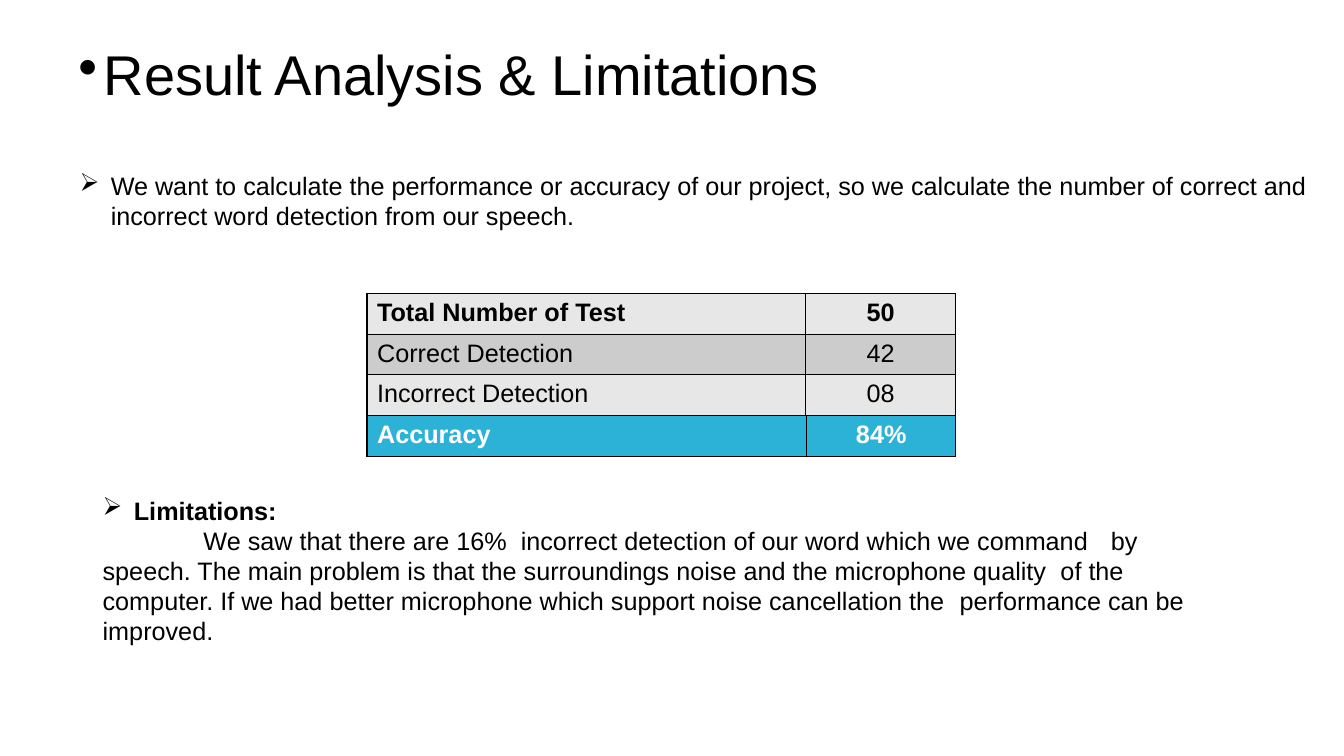
from lxml import etree
from pptx import Presentation
from pptx.dml.color import RGBColor
from pptx.enum.text import MSO_ANCHOR, PP_ALIGN
from pptx.oxml.ns import qn
from pptx.util import Inches, Pt

COLORS = {"ink": "000000", "white": "FFFFFF", "light": "E7E7E7", "mid": "CCCCCC", "accent": "2CB2D7"}
FONT = "Arial"
ROW_H = 0.405
RESULTS = [("Total Number of Test", "50"), ("Correct Detection", "42"), ("Incorrect Detection", "08")]
INTRO = ("We want to calculate the performance or accuracy of our project, so we calculate "
         "the number of correct and incorrect word detection from our speech.")
LIMITS = ("\t\tWe saw that there are 16%  incorrect detection of our word which we command "
          "\tby speech. The main problem is that the surroundings noise and the microphone quality "
          "\tof the computer. If we had better microphone which support noise cancellation the "
          "\tperformance can be improved.")


def rgb(name):
    """Return the named colour."""
    return RGBColor.from_string(COLORS[name])


def style(p, size=18, bold=False, color="ink"):
    """Set the font of a paragraph."""
    p.font.name, p.font.size, p.font.bold = FONT, Pt(size), bold
    p.font.color.rgb = rgb(color)


def add_bullet(p, char, indent):
    """Give a paragraph a hanging bullet."""
    pPr = p._p.get_or_add_pPr()
    pPr.set("marL", str(Inches(indent)))
    pPr.set("indent", str(-Inches(indent)))
    bullet = etree.Element(qn("a:buChar"), char=char)
    pPr.insert_element_before(bullet, "a:tabLst", "a:defRPr", "a:extLst")


def add_text(s, box, texts):
    """Add a wrapped text box with one paragraph per text."""
    tf = s.shapes.add_textbox(*map(Inches, box)).text_frame
    tf.word_wrap = True
    for i, text in enumerate(texts):
        p = tf.add_paragraph() if i else tf.paragraphs[0]
        p.add_run().text = text
        style(p)
    return tf


def add_title(s, box):
    """Add the bulleted slide title."""
    tf = add_text(s, box, ["Result Analysis & Limitations"])
    tf.vertical_anchor = MSO_ANCHOR.MIDDLE
    p = tf.paragraphs[0]
    style(p, 40)
    p.line_spacing = 0.9
    add_bullet(p, "•", 0.25)


def add_intro(s, box):
    """Add the opening statement."""
    add_bullet(add_text(s, box, [INTRO]).paragraphs[0], "➢", 0.31)


def add_limitations(s, box):
    """Add the limitations heading and its paragraph."""
    heading = add_text(s, box, ["Limitations:", LIMITS]).paragraphs[0]
    style(heading, bold=True)
    add_bullet(heading, "➢", 0.31)


def add_borders(cell):
    """Draw a thin black line on each side of a cell."""
    tcPr = cell._tc.get_or_add_tcPr()
    for i, side in enumerate(("lnL", "lnR", "lnT", "lnB")):
        ln = etree.Element(qn(f"a:{side}"), w=str(Pt(1)))
        fill = etree.SubElement(ln, qn("a:solidFill"))
        etree.SubElement(fill, qn("a:srgbClr"), val=COLORS["ink"])
        tcPr.insert(i, ln)


def add_result_table(s, box, rows, widths, fills, color="ink"):
    """Add a table of labels and centred values with a bold first row."""
    table = s.shapes.add_table(len(rows), len(widths), *map(Inches, box)).table
    for col, width in zip(table.columns, widths):
        col.width = Inches(width)
    for r, row in enumerate(rows):
        table.rows[r].height = Inches(ROW_H)
        for c, text in enumerate(row):
            cell = table.cell(r, c)
            cell.text = text
            cell.fill.solid()
            cell.fill.fore_color.rgb = rgb(fills[r % len(fills)])
            add_borders(cell)
            p = cell.text_frame.paragraphs[0]
            style(p, bold=r == 0, color=color)
            p.alignment = PP_ALIGN.CENTER if c else PP_ALIGN.LEFT


def add_results(s, box):
    """Stack the detection counts and the accuracy row."""
    left, top, width, _ = box
    counts_h = ROW_H * len(RESULTS)
    add_result_table(s, (left, top, width, counts_h), RESULTS, (4.35, 1.49), ("light", "mid"))
    add_result_table(s, (left, top + counts_h, width, ROW_H), [("Accuracy", "84%")],
                     (4.36, 1.48), ("accent",), "white")


def main():
    """Build and save the slide."""
    prs = Presentation()
    prs.slide_width, prs.slide_height = Inches(13.33), Inches(7.5)
    s = prs.slides.add_slide(prs.slide_layouts[6])
    add_title(s, (0.68, 0.37, 12.66, 0.79))
    add_intro(s, (0.69, 1.64, 12.42, 1.62))
    add_results(s, (3.64, 2.91, 5.84, 4 * ROW_H))
    add_limitations(s, (0.92, 4.86, 11.06, 1.62))
    prs.save("out.pptx")


if __name__ == "__main__":
    main()
